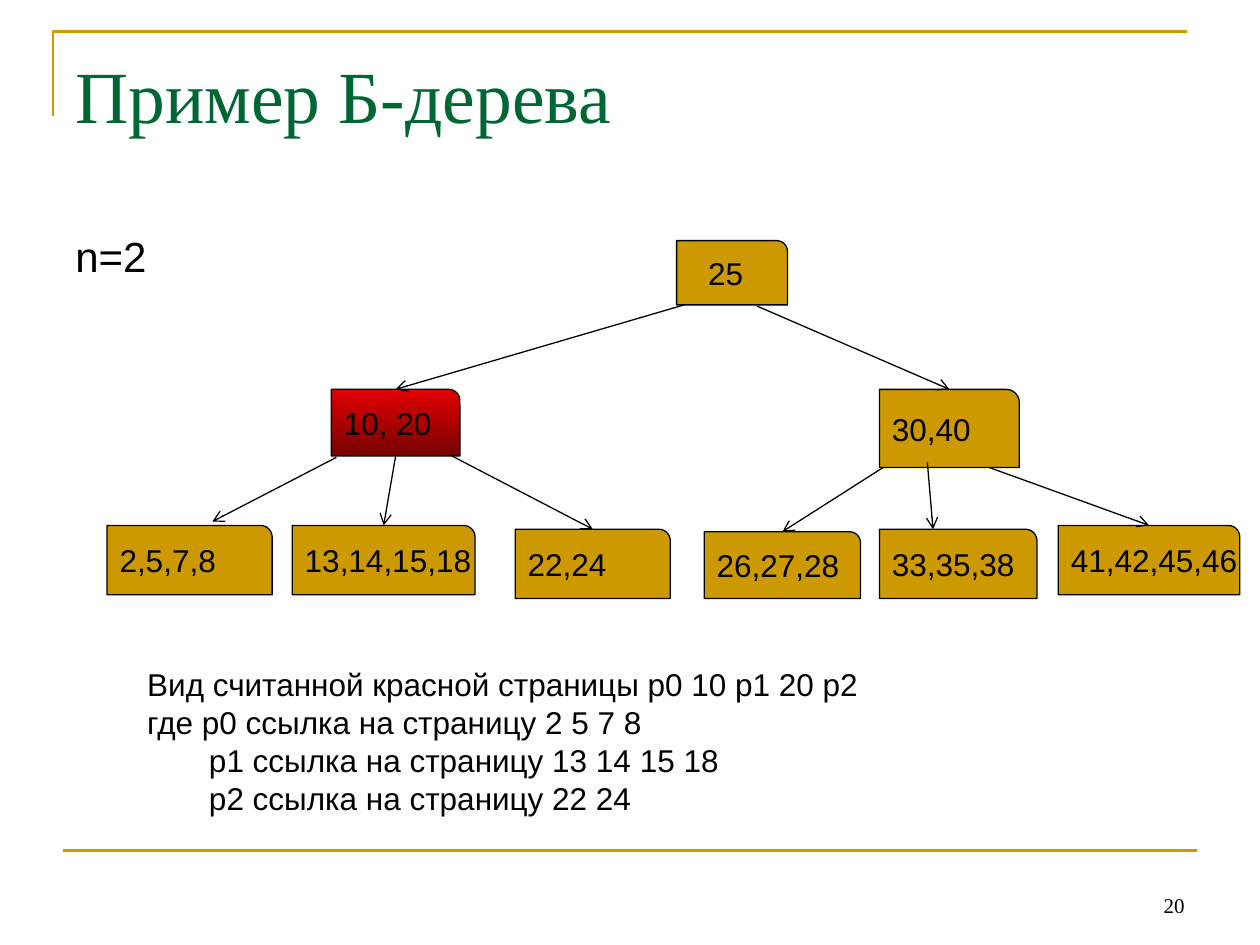
from lxml import etree
from pptx import Presentation
from pptx.dml.color import RGBColor
from pptx.enum.shapes import MSO_CONNECTOR, MSO_SHAPE
from pptx.enum.text import MSO_ANCHOR, PP_ALIGN
from pptx.oxml.ns import qn
from pptx.util import Inches, Pt

LINE, NODE = MSO_CONNECTOR.STRAIGHT, MSO_SHAPE.ROUND_1_RECTANGLE
TOP, MID, BASE = MSO_ANCHOR.TOP, MSO_ANCHOR.MIDDLE, MSO_ANCHOR.BOTTOM
LEFT, RIGHT = PP_ALIGN.LEFT, PP_ALIGN.RIGHT

WIDE, HIGH = 10, 7.5
EDGE = 0.05 * WIDE
SPAN = WIDE - 2 * EDGE
HEX = {"gold": "CC9900", "green": "006633", "black": "000000",
       "red": "E30000", "dark": "760303"}
BODY = {"name": "Arial", "size": Pt(18)}
SERIF = "Times New Roman"

TITLE = "Пример Б-дерева"
NOTES = [  # text, indent
    ("Вид считанной красной страницы p0 10 p1 20 p2", 0),
    ("где p0 ссылка на страницу 2 5 7 8", 0),
    ("p1 ссылка на страницу 13 14 15 18", 0.49),
    ("p2 ссылка на страницу 22 24", 0.49),
]
# keys, box, start of the arrow from the parent, shift of its tip from top centre
TREE = [
    ("25", (5.37, 1.91, 0.88, 0.51), None, (0, 0)),
    ("10, 20", (2.63, 3.09, 1.02, 0.53), (5.43, 2.42), (0, 0)),
    ("30,40", (6.98, 3.09, 1.11, 0.62), (6.01, 2.43), (0, 0)),
    ("2,5,7,8", (0.85, 4.17, 1.31, 0.55), (2.67, 3.63), (0.18, -0.03)),
    ("13,14,15,18", (2.32, 4.17, 1.45, 0.55), (3.14, 3.62), (0, 0)),
    ("22,24", (4.09, 4.2, 1.23, 0.55), (3.57, 3.61), (0, 0)),
    ("26,27,28", (5.59, 4.22, 1.24, 0.53), (7.01, 3.71), (0, 0)),
    ("33,35,38", (6.98, 4.2, 1.25, 0.55), (7.36, 3.67), (-0.2, 0)),
    ("41,42,45,46", (8.4, 4.17, 1.44, 0.55), (7.85, 3.71), (0, 0)),
]
READ = "10, 20"  # the page that was read
ROOT = "25"


def tint(name):
    return RGBColor.from_string(HEX[name])


def inch(vals):
    return [Inches(v) for v in vals]


def write(shape, rows, font, color="black", anchor=TOP, align=LEFT, wrap=True):
    """Fill a shape with (text, indent) rows."""
    frame = shape.text_frame
    frame.word_wrap, frame.vertical_anchor = wrap, anchor
    for i, (text, indent) in enumerate(rows):
        para = frame.add_paragraph() if i else frame.paragraphs[0]
        para.alignment = align
        if indent:
            para._p.get_or_add_pPr().set("marL", str(Inches(indent)))
        run = para.add_run()
        run.text = text
        for key, val in font.items():
            setattr(run.font, key, val)
        run.font.color.rgb = tint(color)


def stroke(shape, color="black", width=0.75):
    shape.line.color.rgb = tint(color)
    shape.line.width = Pt(width)


def link(slide, start, end, color="black", width=0.75, arrow=True):
    line = slide.shapes.add_connector(LINE, *inch(start + end))
    stroke(line, color, width)
    props = line._element.spPr
    if arrow:
        etree.SubElement(props.find(qn("a:ln")), qn("a:tailEnd"), type="arrow")
    etree.SubElement(props, qn("a:effectLst"))


def frame(slide):
    """Draw the corner rule at the top and the rule at the foot."""
    pen = slide.shapes.build_freeform(*inch((0.42, 0.92)), scale=1.0)
    pen.add_line_segments([inch((0.42, 0.25)), inch((9.42, 0.25))], close=False)
    rule = pen.convert_to_shape()
    rule.shadow.inherit = False
    rule.fill.background()
    stroke(rule, "gold", 1.5)
    foot = 0.9 * HIGH
    link(slide, (EDGE, foot), (WIDE - EDGE, foot), "gold", 1.5, arrow=False)


def node(slide, keys, box):
    shape = slide.shapes.add_shape(NODE, *inch(box))
    shape.shadow.inherit = False
    if keys == READ:
        shape.fill.gradient()
        shape.fill.gradient_angle = 270
        for stop, name in zip(shape.fill.gradient_stops, ("red", "dark")):
            stop.color.rgb = tint(name)
    else:
        shape.fill.solid()
        shape.fill.fore_color.rgb = tint("gold")
    stroke(shape)
    write(shape, [(keys, 0)], BODY, anchor=MID, wrap=False)
    if keys == ROOT:
        shape.text_frame.margin_left = Inches(0.25)


def main():
    deck = Presentation()
    deck.slide_width, deck.slide_height = inch((WIDE, HIGH))
    slide = deck.slides.add_slide(deck.slide_layouts[5])
    frame(slide)

    title = slide.shapes.title
    title.left, title.top, title.width, title.height = inch((EDGE, 0.36, SPAN, 0.78))
    write(title, [(TITLE, 0)], {"name": SERIF, "size": Pt(42)}, "green", MID)

    def label(box, rows, font, **form):
        write(slide.shapes.add_textbox(*inch(box)), rows, font, **form)

    label((EDGE, 1.78, 2, 0.5), [("n=2", 0)], BODY | {"size": Pt(24)})
    label((1.07, 5.23, 7.02, 1.31), NOTES, BODY)
    label((7.17, 6.83, 2.33, 0.5), [("20", 0)],
          {"name": SERIF, "size": Pt(12)}, anchor=BASE, align=RIGHT)

    for keys, box, _, _ in TREE:
        node(slide, keys, box)
    for _, (x, y, w, _), start, (dx, dy) in TREE:
        if start:
            link(slide, start, (x + w / 2 + dx, y + dy))

    deck.save("out.pptx")


if __name__ == "__main__":
    main()
